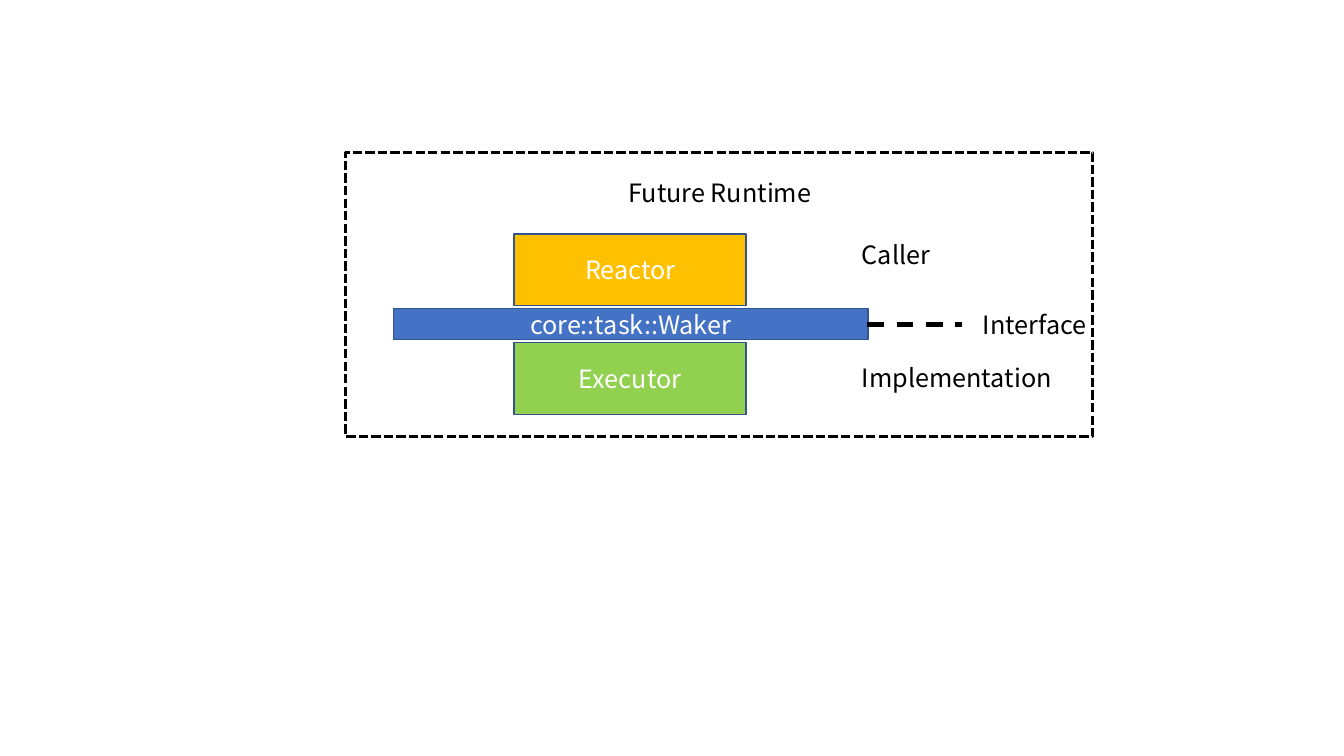
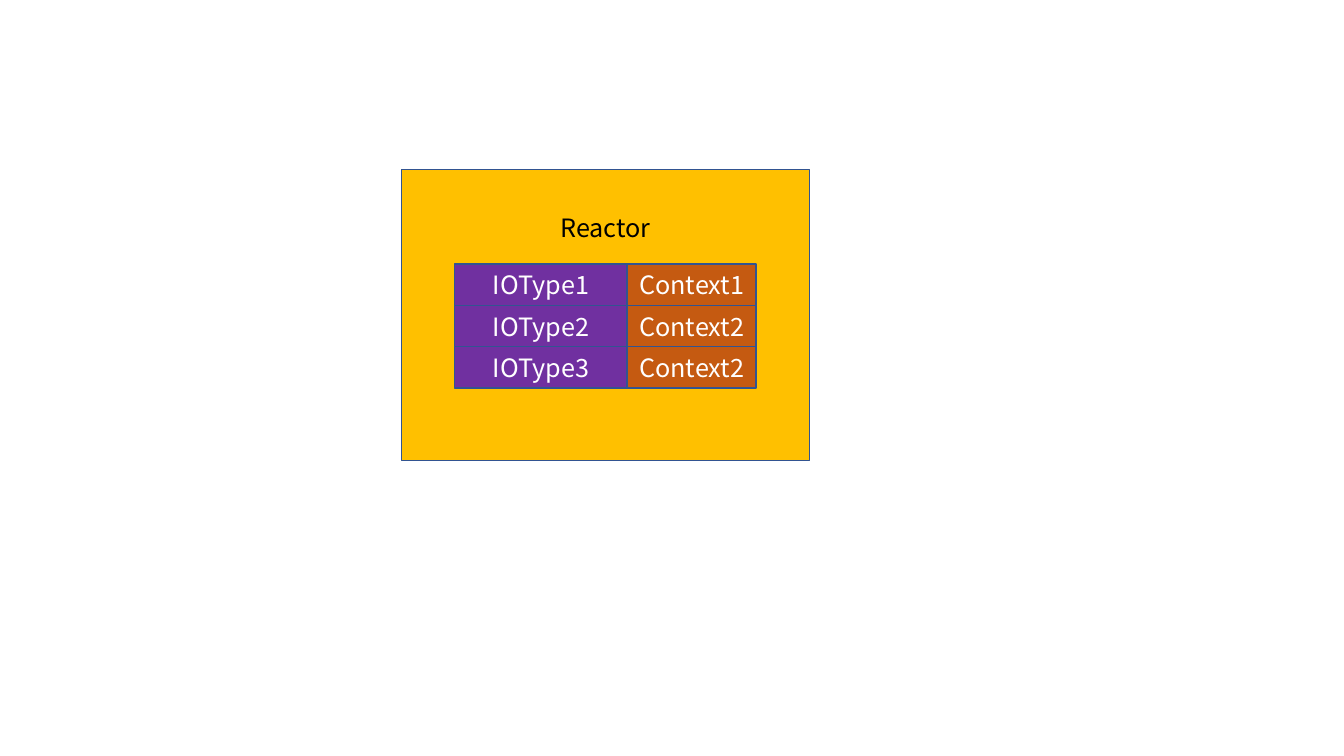
from lxml.etree import SubElement
from pptx import Presentation
from pptx.dml.color import RGBColor
from pptx.enum.dml import MSO_LINE_DASH_STYLE as DASH
from pptx.enum.shapes import MSO_CONNECTOR, MSO_SHAPE
from pptx.enum.text import MSO_ANCHOR, MSO_AUTO_SIZE, PP_ALIGN as ALIGN
from pptx.oxml.ns import qn
from pptx.util import Pt

EMU_PER_PX = 9144
SLIDE_WIDTH, SLIDE_HEIGHT = 1333, 750
BLANK_LAYOUT = 6

FONT = "Noto Sans CJK SC"
FONT_SIZE = 18

BLACK = RGBColor(0x00, 0x00, 0x00)
WHITE = RGBColor(0xFF, 0xFF, 0xFF)
OUTLINE = RGBColor(0x32, 0x54, 0x91)
BLUE = RGBColor(0x44, 0x72, 0xC4)
GREEN = RGBColor(0x92, 0xD0, 0x50)
AMBER = RGBColor(0xFF, 0xC0, 0x00)
PURPLE = RGBColor(0x70, 0x30, 0xA0)
RUST = RGBColor(0xC5, 0x5A, 0x11)


def px(*lengths):
    return [length * EMU_PER_PX for length in lengths]


def set_text(shape, text, color, align):
    shape.text_frame.text = text
    paragraph = shape.text_frame.paragraphs[0]
    paragraph.alignment = align
    font = paragraph.runs[0].font
    font.name = FONT
    font.size = Pt(FONT_SIZE)
    font.color.rgb = color


def style_line(line, color, width, dash=None):
    line.color.rgb = color
    line.width = Pt(width)
    if dash is not None:
        line.dash_style = dash


def add_rectangle(slide, left, top, width, height):
    shape = slide.shapes.add_shape(
        MSO_SHAPE.RECTANGLE, *px(left, top, width, height))
    shape.shadow.inherit = False
    return shape


def add_block(slide, left, top, width, height, fill, text=None):
    shape = add_rectangle(slide, left, top, width, height)
    shape.fill.solid()
    shape.fill.fore_color.rgb = fill
    style_line(shape.line, OUTLINE, 1)
    if text:
        shape.text_frame.vertical_anchor = MSO_ANCHOR.MIDDLE
        set_text(shape, text, WHITE, ALIGN.CENTER)


def add_dashed_frame(slide, left, top, width, height):
    shape = add_rectangle(slide, left, top, width, height)
    shape.fill.background()
    style_line(shape.line, BLACK, 2.25, DASH.SQUARE_DOT)


def add_label(slide, left, top, width, text, align=ALIGN.LEFT):
    shape = slide.shapes.add_textbox(*px(left, top, width, 40))
    shape.text_frame.word_wrap = True
    shape.text_frame.auto_size = MSO_AUTO_SIZE.SHAPE_TO_FIT_TEXT
    set_text(shape, text, BLACK, align)


def add_dashed_line(slide, left, right, y):
    connector = slide.shapes.add_connector(
        MSO_CONNECTOR.STRAIGHT, *px(left, y, right, y))
    style_line(connector.line, BLACK, 3, DASH.DASH)
    SubElement(connector._element.spPr, qn("a:effectLst"))


def build_runtime_slide(slide):
    add_block(slide, 390, 306, 471, 31, BLUE, "core::task::Waker")
    for top, fill, text in ((340, GREEN, "Executor"), (232, AMBER, "Reactor")):
        add_block(slide, 510, top, 230, 71, fill, text)
    add_dashed_line(slide, 860, 954, 322)
    add_label(slide, 965, 302, 178, "Interface")
    for top, text in ((355, "Implementation"), (233, "Caller")):
        add_label(slide, 845, top, 257, text)
    add_dashed_frame(slide, 343, 151, 741, 282)
    add_label(slide, 556, 171, 316, "Future Runtime", ALIGN.CENTER)


def build_reactor_slide(slide):
    left, top, row_height = 451, 262, 41
    type_width, context_width = 171, 128
    rows = (("IOType1", "Context1"),
            ("IOType2", "Context2"),
            ("IOType3", "Context2"))
    add_block(slide, 398, 168, 405, 289, AMBER)
    for index, (io_type, context) in enumerate(rows):
        row_top = top + index * row_height
        add_block(slide, left, row_top, type_width, row_height,
                  PURPLE, io_type)
        add_block(slide, left + type_width, row_top, context_width, row_height,
                  RUST, context)
    add_label(slide, 515, 206, 171, "Reactor", ALIGN.CENTER)


def main():
    presentation = Presentation()
    presentation.slide_width, presentation.slide_height = px(
        SLIDE_WIDTH, SLIDE_HEIGHT)
    layout = presentation.slide_layouts[BLANK_LAYOUT]
    for build in (build_runtime_slide, build_reactor_slide):
        build(presentation.slides.add_slide(layout))
    presentation.save("out.pptx")


if __name__ == "__main__":
    main()
